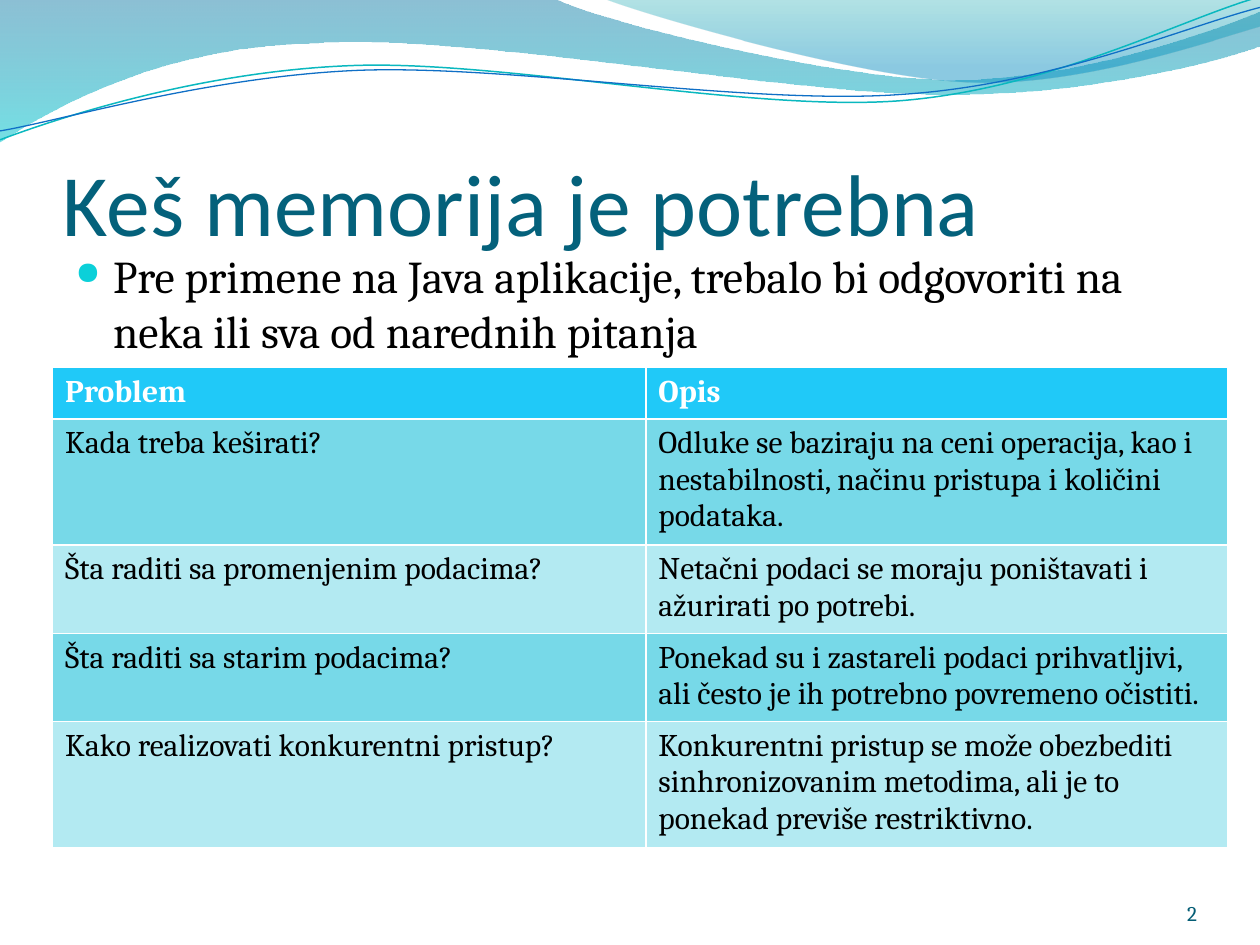
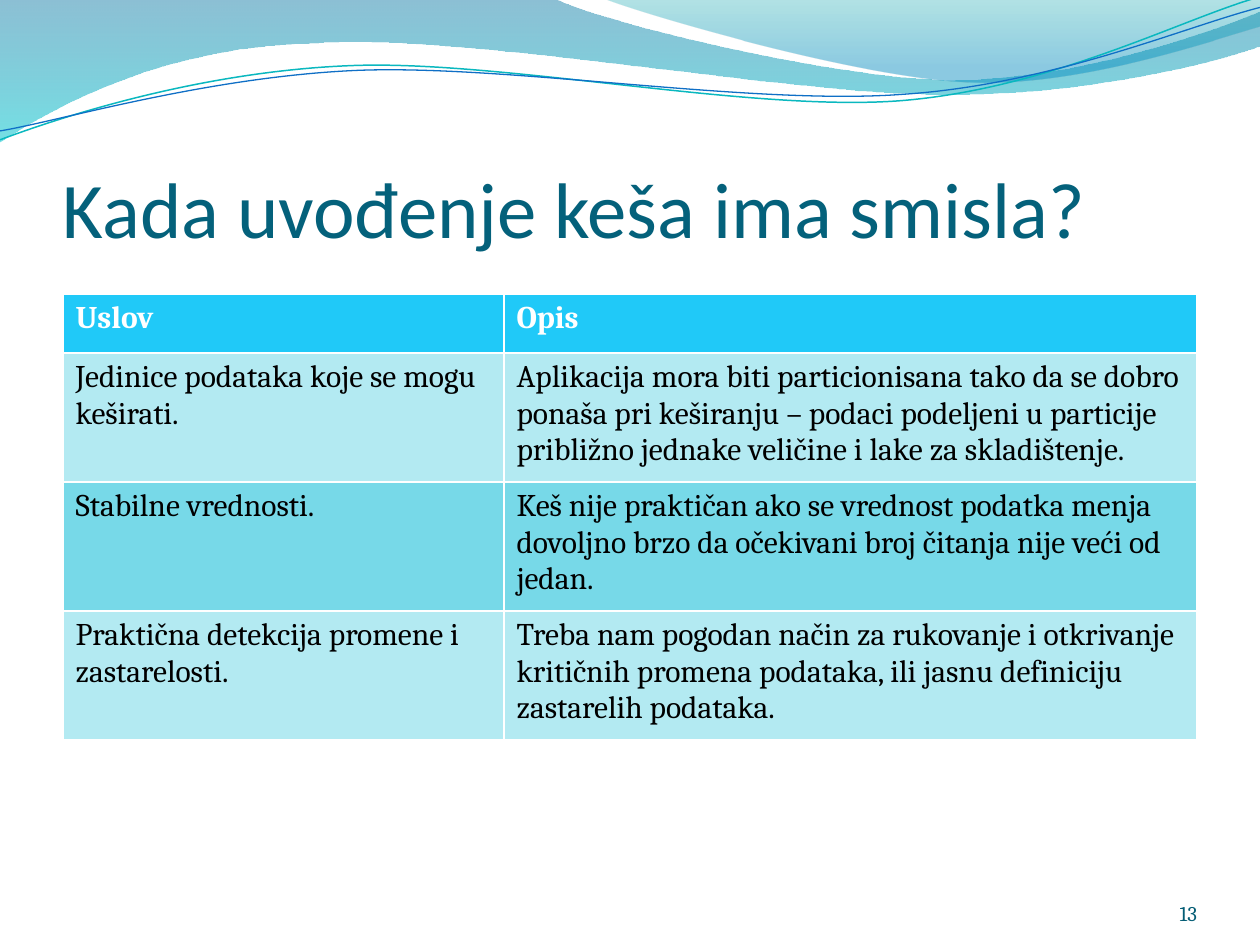
"""Build two slides about caching, each with a wave header, a title and a two-column table."""
from lxml import etree
from pptx import Presentation
from pptx.dml.color import RGBColor
from pptx.enum.text import MSO_ANCHOR, PP_ALIGN
from pptx.oxml.ns import qn
from pptx.util import Cm, Pt

TOP, BOTTOM = MSO_ANCHOR.TOP, MSO_ANCHOR.BOTTOM
LEFT, RIGHT = PP_ALIGN.LEFT, PP_ALIGN.RIGHT

WHITE = RGBColor(0xFF, 0xFF, 0xFF)
BLACK = RGBColor(0x00, 0x00, 0x00)
TITLE_TEAL = RGBColor(0x04, 0x61, 0x7B)
NUMBER_TEAL = RGBColor(0x04, 0x5D, 0x75)
BULLET_CYAN = RGBColor(0x0B, 0xD0, 0xD9)
HEADER_BLUE = RGBColor(0x20, 0xC9, 0xF8)
BAND_DARK = RGBColor(0x77, 0xD9, 0xE8)
BAND_LIGHT = RGBColor(0xB3, 0xEA, 0xF2)
WAVE_BLUE = RGBColor(0x00, 0x74, 0xA1)
WAVE_CYAN = RGBColor(0x00, 0xC6, 0xCF)
CREST_GREEN = RGBColor(0x00, 0xA1, 0xA9)
CREST_BLUE = RGBColor(0x00, 0x8B, 0xBF)
LINE_CYAN = RGBColor(0x0A, 0xB8, 0xBF)
LINE_BLUE = RGBColor(0x0F, 0x6F, 0xC6)

HEADING_FONT, BODY_FONT = "Calibri", "Cambria"
LINE_ROTATION = 357.3

SLIDES = [
    {
        "title": "Keš memorija je potrebna",
        "title_size": 50,
        "bullet": "Pre primene na Java aplikacije, trebalo bi odgovoriti na "
                  "neka ili sva od narednih pitanja",
        "number": "2",
        "table": {
            "left": 1.06, "top": 7.41,
            "columns": [11.96, 11.73],
            "heights": [1.04] * 5,
            "bands": [BAND_DARK, BAND_LIGHT],
            "rows": [
                ("Problem", "Opis"),
                ("Kada treba keširati?",
                 "Odluke se baziraju na ceni operacija, kao i nestabilnosti, "
                 "načinu pristupa i količini podataka."),
                ("Šta raditi sa promenjenim podacima?",
                 "Netačni podaci se moraju poništavati i ažurirati po potrebi."),
                ("Šta raditi sa starim podacima?",
                 "Ponekad su i zastareli podaci prihvatljivi, ali često je ih "
                 "potrebno povremeno očistiti."),
                ("Kako realizovati konkurentni pristup?",
                 "Konkurentni pristup se može obezbediti sinhronizovanim "
                 "metodima, ali je to ponekad previše restriktivno."),
            ],
        },
    },
    {
        "title": "Kada uvođenje keša ima smisla?",
        "title_size": 45,
        "bullet": None,
        "number": "13",
        "table": {
            "left": 1.27, "top": 5.93,
            "columns": [8.89, 13.97],
            "heights": [1.19] + [2.6] * 3,
            "bands": [BAND_LIGHT, BAND_DARK],
            "rows": [
                ("Uslov", "Opis"),
                ("Jedinice podataka koje se mogu keširati.",
                 "Aplikacija mora biti particionisana tako da se dobro ponaša pri "
                 "keširanju – podaci podeljeni u particije približno jednake "
                 "veličine i lake za skladištenje."),
                ("Stabilne vrednosti.",
                 "Keš nije praktičan ako se vrednost podatka menja dovoljno brzo "
                 "da očekivani broj čitanja nije veći od jedan."),
                ("Praktična detekcija promene i zastarelosti.",
                 "Treba nam pogodan način za rukovanje i otkrivanje kritičnih "
                 "promena podataka, ili jasnu definiciju zastarelih podataka."),
            ],
        },
    },
]

WAVES = [
    {
        "start": (0, 0),
        "segments": [
            (11.18, -0.03),
            (12.09, 0.43, 16.87, 1.6, 19.25, 1.6),
            (21.67, 1.6, 24.33, 0.66, 25.4, 0.23),
            (25.43, 0.91),
            (24.97, 1.12, 22.1, 1.93, 18.95, 1.9),
            (15.8, 1.9, 9.7, 0.71, 6.53, 0.86),
            (3.28, 0.91, 1.17, 2.11, -0.03, 2.87),
            (0, 0),
        ],
        "gradient": [(0, WAVE_BLUE, 45), (100, WAVE_CYAN, 55)],
    },
    {
        "start": (12.17, -0.03),
        "segments": [
            (12.93, 0.28, 17.32, 1.57, 19.53, 1.65),
            (21.74, 1.75, 24.41, 0.81, 25.4, 0.53),
            (25.4, 0),
            (12.17, -0.03),
        ],
        "gradient": [(0, CREST_GREEN, 30), (80, CREST_BLUE, 45)],
    },
    {
        "start": (-0.05, 2.22),
        "segments": [
            (1.19, 1.82, 4.02, 1.04, 7.05, 1.06),
            (10.05, 1.07, 15.02, 2.37, 18.08, 2.29),
            (21.13, 2.2, 23.86, 0.91, 25.4, 0.55),
        ],
        "line": (LINE_CYAN, 0.85),
    },
    {
        "start": (-0.04, 2.04),
        "segments": [
            (1.16, 1.9, 4.17, 1.15, 7.2, 1.16),
            (10.25, 1.18, 15.13, 2.25, 18.19, 2.16),
            (21.22, 2.1, 23.93, 1.06, 25.45, 0.75),
        ],
        "line": (LINE_BLUE, 0.75),
    },
]


def add_element(parent, tag, **attributes):
    element = etree.SubElement(parent, qn(tag))
    for name, value in attributes.items():
        element.set(name, str(value))
    return element


def format_font(paragraph, color, **values):
    for name, value in values.items():
        setattr(paragraph.font, name, value)
    paragraph.font.color.rgb = color


def bend_segments(shape, segments):
    lines = list(shape._element.iter(qn("a:lnTo")))
    for line, segment in zip(lines, segments):
        if len(segment) == 2:
            continue
        curve = etree.Element(qn("a:cubicBezTo"))
        for x, y in zip(segment[::2], segment[1::2]):
            add_element(curve, "a:pt", x=Cm(x) - shape.left, y=Cm(y) - shape.top)
        line.getparent().replace(line, curve)


def apply_gradient(shape, stops):
    shape.fill.gradient()
    gradient = shape._element.spPr.find(qn("a:gradFill"))
    for child in list(gradient):
        gradient.remove(child)
    stop_list = add_element(gradient, "a:gsLst")
    for position, color, opacity in stops:
        stop = add_element(stop_list, "a:gs", pos=position * 1000)
        color_element = add_element(stop, "a:srgbClr", val=color)
        add_element(color_element, "a:alpha", val=opacity * 1000)
    add_element(gradient, "a:lin", ang=90 * 60000, scaled=0)


def add_wave(slide, wave):
    segments = wave["segments"]
    anchors = [(Cm(x), Cm(y)) for x, y in [wave["start"]] + [segment[-2:] for segment in segments]]
    builder = slide.shapes.build_freeform(*anchors[0], scale=1.0)
    builder.add_line_segments(anchors[1:], close="gradient" in wave)
    shape = builder.convert_to_shape()
    bend_segments(shape, segments)
    shape.shadow.inherit = False
    if "gradient" in wave:
        apply_gradient(shape, wave["gradient"])
        shape.line.fill.background()
    else:
        color, width = wave["line"]
        shape.rotation = LINE_ROTATION
        shape.fill.background()
        shape.line.color.rgb = color
        shape.line.width = Pt(width)


def add_text(slide, text, box, margins, anchor, color, alignment=LEFT, bullet=False, **font):
    frame = slide.shapes.add_textbox(*map(Cm, box)).text_frame
    frame.word_wrap = True
    frame.vertical_anchor = anchor
    for side, margin in zip(("left", "top", "right", "bottom"), margins):
        setattr(frame, f"margin_{side}", Cm(margin))
    paragraph = frame.paragraphs[0]
    paragraph.text = text
    paragraph.alignment = alignment
    if bullet:
        properties = paragraph._p.get_or_add_pPr()
        properties.set("marL", str(Cm(0.76)))
        properties.set("indent", str(-Cm(0.76)))
        add_element(add_element(properties, "a:buClr"), "a:srgbClr", val=BULLET_CYAN)
        add_element(properties, "a:buSzPct", val=70000)
        add_element(properties, "a:buChar", char="●")
    format_font(paragraph, color, **font)


def add_question_table(slide, left, top, columns, heights, bands, rows):
    box = map(Cm, (left, top, sum(columns), sum(heights)))
    table = slide.shapes.add_table(len(rows), len(columns), *box).table
    for column, width in zip(table.columns, columns):
        column.width = Cm(width)
    for row_index, texts in enumerate(rows):
        table.rows[row_index].height = Cm(heights[row_index])
        is_header = row_index == 0
        for column_index, text in enumerate(texts):
            cell = table.cell(row_index, column_index)
            cell.text = text
            cell.fill.solid()
            cell.fill.fore_color.rgb = HEADER_BLUE if is_header else bands[(row_index - 1) % 2]
            format_font(cell.text_frame.paragraphs[0], WHITE if is_header else BLACK,
                        name=BODY_FONT, size=Pt(18), bold=is_header)


def main():
    presentation = Presentation()
    presentation.slide_width, presentation.slide_height = Cm(25.4), Cm(19.05)
    for content in SLIDES:
        slide = presentation.slides.add_slide(presentation.slide_layouts[6])
        for wave in WAVES:
            add_wave(slide, wave)
        add_text(slide, content["title"], (1.27, 1.95, 22.86, 3.18), (0, 0.13, 0, 0), BOTTOM,
                 TITLE_TEAL, name=HEADING_FONT, size=Pt(content["title_size"]))
        if content["bullet"]:
            add_text(slide, content["bullet"], (1.27, 4.87, 22.86, 12.7), (0.25, 0.13, 0.25, 0.13),
                     TOP, BLACK, bullet=True, name=BODY_FONT, size=Pt(26))
        add_question_table(slide, **content["table"])
        add_text(slide, content["number"], (22.02, 17.65, 2.11, 1.02), (0, 0, 0, 0), BOTTOM,
                 NUMBER_TEAL, RIGHT, name=BODY_FONT, size=Pt(12))
    presentation.save("out.pptx")


if __name__ == "__main__":
    main()
